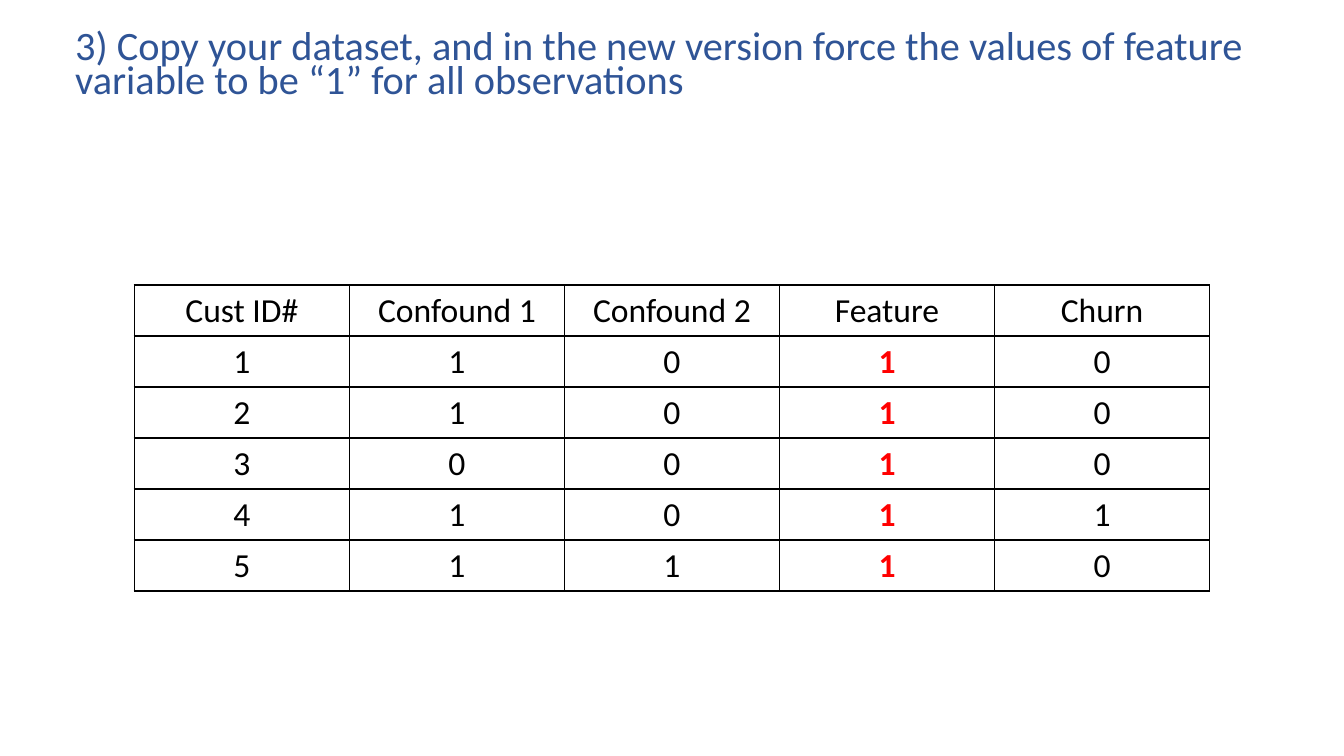
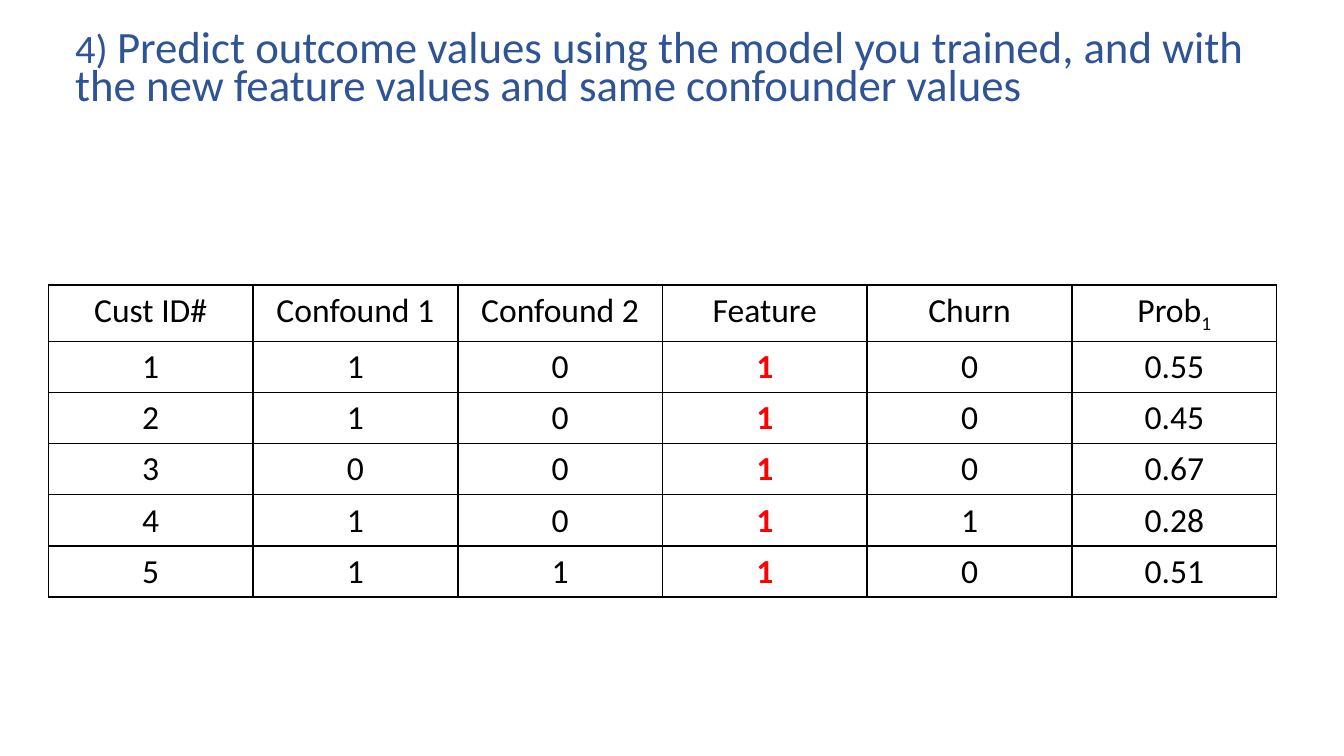
import pptx
import pptx.util
import pptx.dml.color
import pptx.enum.text
import pptx.oxml.ns
from lxml import etree

Inches = pptx.util.Inches
Pt = pptx.util.Pt

COLORS = {"title": "2F5496", "text": "000000", "mark": "FF0000", "back": "FFFFFF"}
FONT = "Calibri"

HEADS = ["Cust ID#", "Confound 1", "Confound 2", "Feature", "Churn"]
ROWS = [
    ["1", "1", "0", "1", "0"],
    ["2", "1", "0", "1", "0"],
    ["3", "0", "0", "1", "0"],
    ["4", "1", "0", "1", "1"],
    ["5", "1", "1", "1", "0"],
]
PROBS = ["0.55", "0.45", "0.67", "0.28", "0.51"]
MARKED = HEADS.index("Feature")

# A title is a list of (text, size); a head may be a (text, subscript) pair.
SLIDES = [
    {
        "title": [("3) Copy your dataset, and in the new version force the values "
                   "of feature variable to be “1” for all observations", 21.6)],
        "heads": HEADS,
        "rows": ROWS,
        "left": 1,
        "wide": 8,
    },
    {
        "title": [("4) ", 21.6),
                  ("Predict outcome values using the model you trained, and with "
                   "the new feature values and same confounder values", 24)],
        "heads": HEADS + [("Prob", "1")],
        "rows": [row + [prob] for row, prob in zip(ROWS, PROBS)],
        "left": 0.36,
        "wide": 9.14,
    },
]
TABLE_TOP = 2.12
ROW_HIGH = 0.3


def write(par, text, size=18, color="text", bold=False, sub=False):
    run = par.add_run()
    run.text = text
    run.font.name = FONT
    run.font.size = Pt(size)
    run.font.bold = bold
    run.font.color.rgb = pptx.dml.color.RGBColor.from_string(COLORS[color])
    if sub:
        run._r.get_or_add_rPr().set("baseline", "-25000")


def pad(part, side, top):
    part.margin_left = part.margin_right = Inches(side)
    part.margin_top = part.margin_bottom = Inches(top)


def add_title(slide, parts):
    box = slide.shapes.add_textbox(Inches(0.49), Inches(0.18), Inches(9.27), Inches(0.61))
    frame = box.text_frame
    frame.word_wrap = True
    pad(frame, 0.07, 0.07)
    par = frame.paragraphs[0]
    par.line_spacing = 0.7
    for text, size in parts:
        write(par, text, size=size, color="title")


def add_edges(cell):
    """Draw a 1 pt line on all four sides; call before setting the fill."""
    props = cell._tc.get_or_add_tcPr()
    qn = pptx.oxml.ns.qn
    for side in ("lnL", "lnR", "lnT", "lnB"):
        line = etree.SubElement(props, qn("a:" + side), w=str(Pt(1)))
        fill = etree.SubElement(line, qn("a:solidFill"))
        etree.SubElement(fill, qn("a:srgbClr"), val=COLORS["text"])


def add_grid(slide, heads, rows, left, wide):
    grid = [heads] + rows
    table = slide.shapes.add_table(
        len(grid), len(heads), Inches(left), Inches(TABLE_TOP),
        Inches(wide), Inches(ROW_HIGH * len(grid))).table
    table.first_row = table.horz_banding = False
    for r, row in enumerate(grid):
        for c, value in enumerate(row):
            cell = table.cell(r, c)
            pad(cell, 0.08, 0.04)
            add_edges(cell)
            cell.fill.solid()
            cell.fill.fore_color.rgb = pptx.dml.color.RGBColor.from_string(COLORS["back"])
            par = cell.text_frame.paragraphs[0]
            par.alignment = pptx.enum.text.PP_ALIGN.CENTER
            if isinstance(value, tuple):
                write(par, value[0])
                write(par, value[1], sub=True)
            elif r > 0 and c == MARKED:
                write(par, value, color="mark", bold=True)
            else:
                write(par, value)


def main():
    deck = pptx.Presentation()
    deck.slide_width = Inches(10)
    deck.slide_height = deck.slide_width * 9 // 16
    for data in SLIDES:
        slide = deck.slides.add_slide(deck.slide_layouts[6])
        add_title(slide, data["title"])
        add_grid(slide, data["heads"], data["rows"], data["left"], data["wide"])
    deck.save("out.pptx")


if __name__ == "__main__":
    main()
